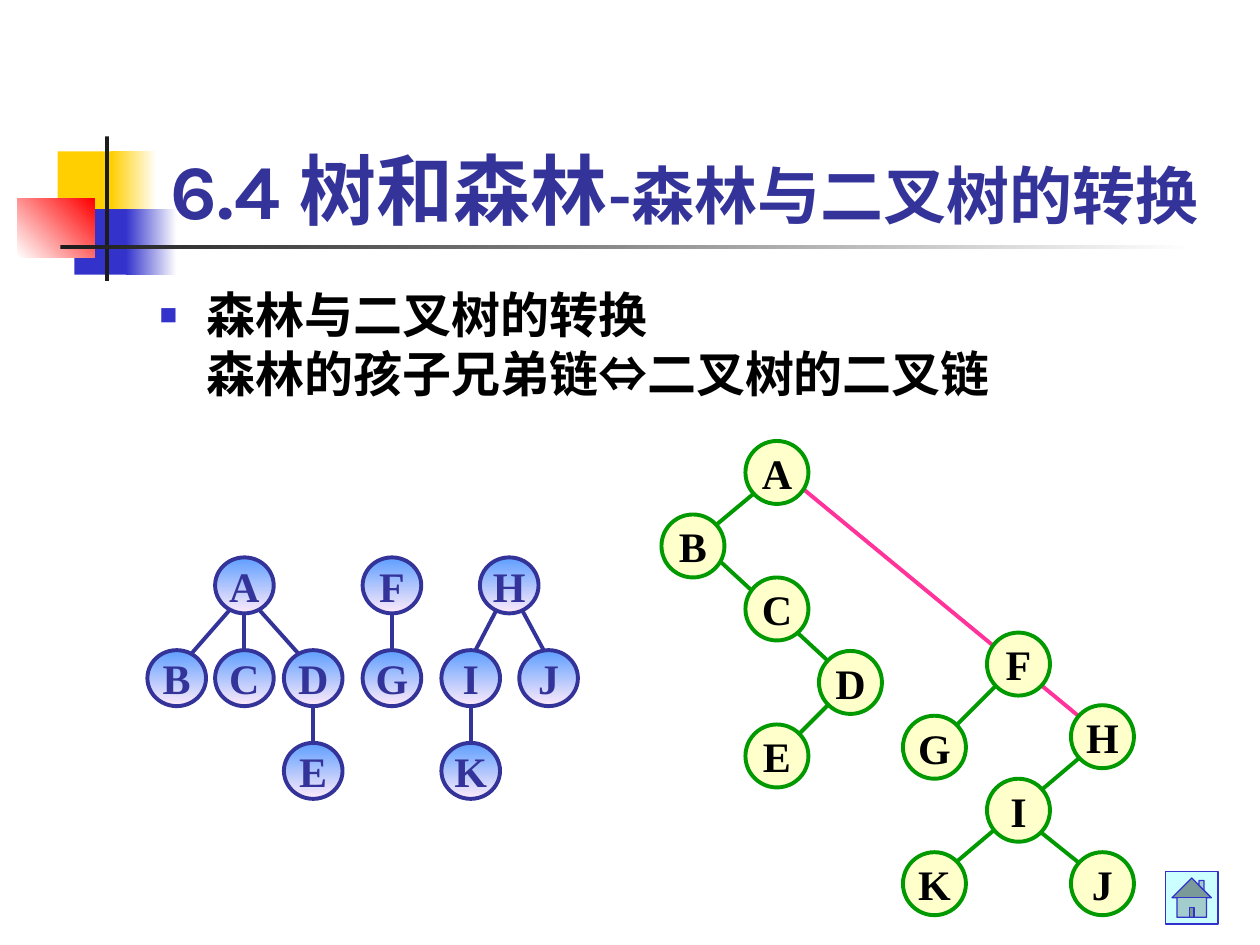
from dataclasses import dataclass

from lxml import etree
from pptx import Presentation
from pptx.dml.color import RGBColor
from pptx.enum.shapes import MSO_CONNECTOR, MSO_SHAPE
from pptx.enum.text import MSO_ANCHOR, MSO_AUTO_SIZE, PP_ALIGN
from pptx.oxml.ns import qn
from pptx.util import Pt

RECTANGLE, OVAL = MSO_SHAPE.RECTANGLE, MSO_SHAPE.OVAL
HOME_BUTTON = MSO_SHAPE.ACTION_BUTTON_HOME
STRAIGHT = MSO_CONNECTOR.STRAIGHT
LEFT, CENTER = PP_ALIGN.LEFT, PP_ALIGN.CENTER
TOP, MIDDLE, BOTTOM = MSO_ANCHOR.TOP, MSO_ANCHOR.MIDDLE, MSO_ANCHOR.BOTTOM
NO_AUTOFIT = MSO_AUTO_SIZE.NONE


@dataclass(frozen=True)
class Theme:
    """Colours, fonts and sizes of the slide."""
    navy: str = "333399"
    blue: str = "3333CC"
    yellow: str = "FFCF01"
    red: str = "FF0000"
    white: str = "FFFFFF"
    black: str = "000000"
    charcoal: str = "1C1C1C"
    sky: str = "5E9EFF"
    blush: str = "FFEBFA"
    cream: str = "FFFFCC"
    green: str = "009900"
    pink: str = "FF3399"
    ice: str = "CCFFFF"
    main_font: str = "Karla"
    symbol_font: str = "Arial"
    node_font: str = "Times New Roman"
    title_size: int = 44
    subtitle_size: int = 36
    body_size: int = 28
    node_size: int = 24
    line_width: float = 2.25
    button_line_width: float = 0.75


THEME = Theme()

DECORATIONS = [
    (33, 86.5, 34.5, 37.5, [THEME.yellow], 0),
    (63.5, 86.5, 26, 37.5, [THEME.yellow, THEME.white], 0),
    (42.5, 119.5, 33, 37.5, [THEME.blue], 0),
    (72, 119.5, 29, 37.5, [THEME.blue, THEME.white], 0),
    (10, 113.5, 44, 33.5, [THEME.white, THEME.red], 45),
    (60, 78, 2.3, 82.5, [THEME.charcoal], 0),
    (34.5, 140.2, 648, 2.3, [THEME.charcoal, THEME.white], 0),
]

FOREST_ROWS = (334.5, 387.5, 440.5)
FOREST_NODES = {
    "A": (139.7, 0), "F": (224, 0), "H": (291, 0),
    "B": (101, 1), "C": (139.7, 1), "D": (179, 1),
    "G": (224, 1), "I": (269, 1), "J": (313.5, 1),
    "E": (179, 2), "K": (269, 2),
}
FOREST_EDGES = [
    ("A", "B", -5.5, 5.5), ("A", "C", 0, 0), ("A", "D", 5.5, -5.5),
    ("D", "E", 0, 0), ("F", "G", 0, 0),
    ("H", "I", -5.5, 0), ("H", "J", 5.5, 0), ("I", "K", 0, 0),
]
FOREST_EDGE_GAP = 10.7

BINARY_NODES = {
    "A": (444, 270), "B": (396, 312), "C": (444, 348), "D": (486, 390),
    "E": (444, 432), "F": (582, 379.5), "G": (534, 427), "H": (630, 421),
    "I": (582, 463), "K": (534, 505), "J": (630, 505),
}
BINARY_EDGES = [
    (456, 277, 624, 415.5, THEME.pink),
    (438, 276, 402, 306, THEME.green),
    (402, 312, 480, 384, THEME.green),
    (480, 396, 450, 426, THEME.green),
    (576, 385, 540, 421, THEME.green),
    (624, 427, 546, 493, THEME.green),
    (594, 475, 624, 499, THEME.green),
]


def rgb(value):
    """Turn a hex string into a colour."""
    return RGBColor.from_string(value)


def format_run(run, font, size, color):
    """Give a run its bold typeface, size and colour."""
    run.font.name = font
    run.font.size = Pt(size)
    run.font.color.rgb = rgb(color)
    run.font.bold = True


def paint(shape, colors, angle=0):
    """Fill a shape with one colour or with a two-colour gradient."""
    if len(colors) == 1:
        shape.fill.solid()
        shape.fill.fore_color.rgb = rgb(colors[0])
        return
    shape.fill.gradient()
    shape.fill.gradient_angle = angle
    for stop, color in zip(shape.fill.gradient_stops, colors):
        stop.color.rgb = rgb(color)


def add_filled_shape(slide, kind, box, colors, angle=0, line=None, width=THEME.line_width):
    """Add a preset shape without shadow, outlined only if a line colour is given."""
    shape = slide.shapes.add_shape(kind, *map(Pt, box))
    shape.shadow.inherit = False
    paint(shape, colors, angle)
    if line:
        shape.line.color.rgb = rgb(line)
        shape.line.width = Pt(width)
    else:
        shape.line.fill.background()
    return shape


def add_edge(slide, start_x, start_y, end_x, end_y, color):
    """Add a straight tree edge."""
    edge = slide.shapes.add_connector(STRAIGHT, *map(Pt, (start_x, start_y, end_x, end_y)))
    edge.line.color.rgb = rgb(color)
    edge.line.width = Pt(THEME.line_width)
    properties = edge.element.find(qn("p:spPr"))
    etree.SubElement(properties, qn("a:effectLst"))


def add_node(slide, label, center, size, colors, line, text_color):
    """Add a labelled tree node around its centre."""
    (x, y), (width, height) = center, size
    box = (x - width / 2, y - height / 2, width, height)
    node = add_filled_shape(slide, OVAL, box, colors, 270, line)
    frame = node.text_frame
    frame.word_wrap = False
    frame.vertical_anchor = MIDDLE
    frame.text = label
    paragraph = frame.paragraphs[0]
    paragraph.alignment = CENTER
    format_run(paragraph.runs[0], THEME.node_font, THEME.node_size, text_color)


def add_forest(slide):
    """Draw the three trees of the forest."""
    centers = {label: (x, FOREST_ROWS[row]) for label, (x, row) in FOREST_NODES.items()}
    for parent, child, start_shift, end_shift in FOREST_EDGES:
        (parent_x, parent_y), (child_x, child_y) = centers[parent], centers[child]
        add_edge(slide, parent_x + start_shift, parent_y + FOREST_EDGE_GAP,
                 child_x + end_shift, child_y - FOREST_EDGE_GAP, THEME.navy)
    for label, center in centers.items():
        add_node(slide, label, center, (33.5, 32), [THEME.sky, THEME.blush],
                 THEME.navy, THEME.navy)


def add_binary_tree(slide):
    """Draw the binary tree that matches the forest."""
    for edge in BINARY_EDGES:
        add_edge(slide, *edge)
    for label, center in BINARY_NODES.items():
        add_node(slide, label, center, (36, 36), [THEME.cream], THEME.green, THEME.black)


def place_text(placeholder, box, anchor):
    """Move a placeholder and return its first paragraph, left-aligned."""
    placeholder.left, placeholder.top, placeholder.width, placeholder.height = map(Pt, box)
    frame = placeholder.text_frame
    frame.word_wrap = True
    frame.auto_size = NO_AUTOFIT
    frame.vertical_anchor = anchor
    paragraph = frame.paragraphs[0]
    paragraph.alignment = LEFT
    paragraph.space_before = Pt(0)
    return paragraph


def add_square_bullet(paragraph, indent):
    """Give a paragraph a small square bullet with a hanging indent."""
    properties = paragraph._p.get_or_add_pPr()
    properties.set("marL", str(Pt(indent)))
    properties.set("indent", str(-Pt(indent)))
    color = etree.SubElement(properties, qn("a:buClr"))
    etree.SubElement(color, qn("a:srgbClr"), val=THEME.blue)
    etree.SubElement(properties, qn("a:buSzPct"), val="60000")
    etree.SubElement(properties, qn("a:buFont"), typeface=THEME.symbol_font)
    etree.SubElement(properties, qn("a:buChar"), char="■")


def fill_title(title):
    """Write the two-size title."""
    paragraph = place_text(title, (90.5, 48, 629.5, 90), BOTTOM)
    for text, size in (("6.4 树和森林", THEME.title_size),
                       ("-森林与二叉树的转换", THEME.subtitle_size)):
        run = paragraph.add_run()
        run.text = text
        format_run(run, THEME.main_font, size, THEME.navy)


def fill_body(body):
    """Write the bulleted statement."""
    paragraph = place_text(body, (84, 159, 624, 75), TOP)
    add_square_bullet(paragraph, 27)
    paragraph.text = "森林与二叉树的转换\v森林的孩子兄弟链"
    for text in ("⇔", "二叉树的二叉链"):
        paragraph.add_run().text = text
    for run in paragraph.runs:
        font = THEME.symbol_font if run.text == "⇔" else THEME.main_font
        format_run(run, font, THEME.body_size, THEME.black)


def main():
    """Build and save the slide."""
    presentation = Presentation()
    presentation.slide_width, presentation.slide_height = Pt(720), Pt(540)
    slide = presentation.slides.add_slide(presentation.slide_layouts[1])
    title, body = slide.placeholders
    for *box, colors, angle in DECORATIONS:
        shape = add_filled_shape(slide, RECTANGLE, box, colors, angle)
        title.element.addprevious(shape.element)
    fill_title(title)
    fill_body(body)
    add_forest(slide)
    add_binary_tree(slide)
    add_filled_shape(slide, HOME_BUTTON, (666, 498, 30, 30), [THEME.ice],
                     line=THEME.blue, width=THEME.button_line_width)
    presentation.save("out.pptx")


if __name__ == "__main__":
    main()
